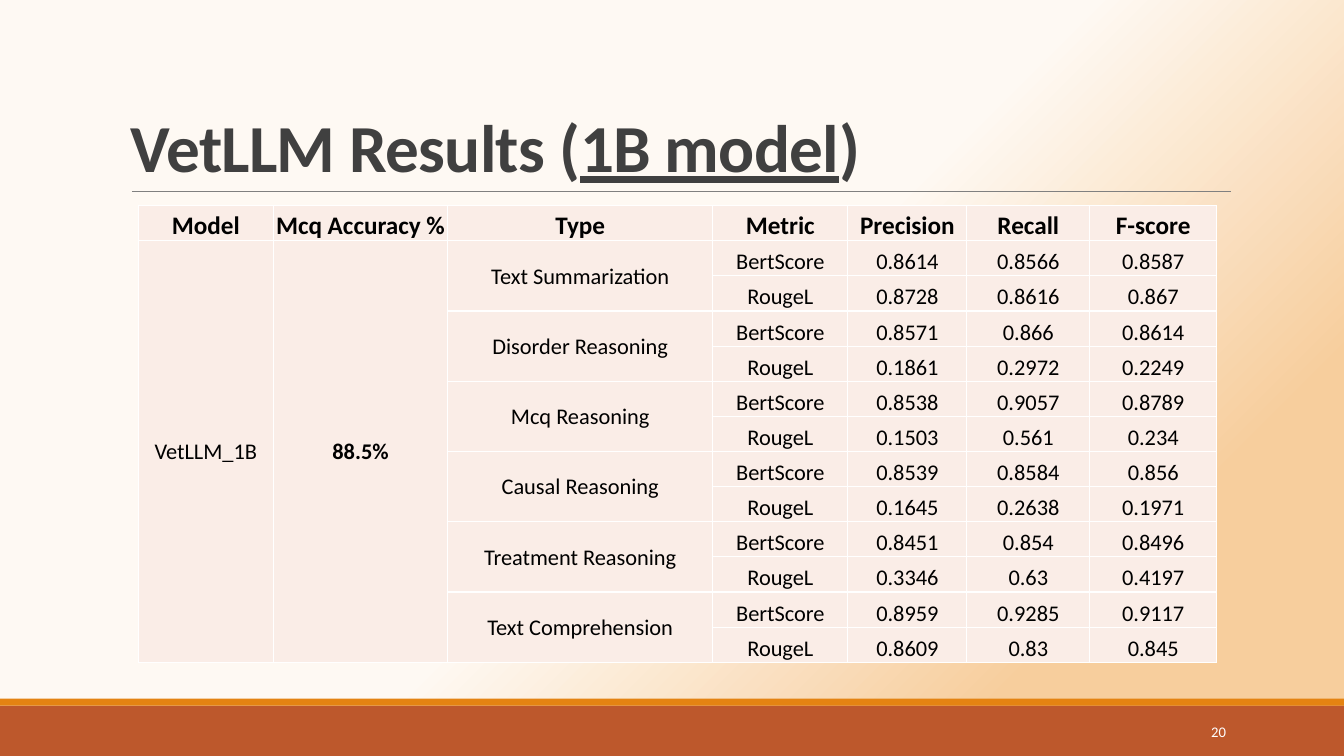
"""Build the VetLLM 1B results slide: a title over one merged score table."""
import pptx
import pptx.dml.color
import pptx.enum.shapes
import pptx.enum.text
import pptx.oxml
import pptx.oxml.ns
import pptx.util
from dataclasses import dataclass

Pt = pptx.util.Pt
RGB = pptx.dml.color.RGBColor.from_string
ANCHOR = pptx.enum.text.MSO_ANCHOR
ALIGN = pptx.enum.text.PP_ALIGN


@dataclass(frozen=True)
class Theme:
    font: str = "Calibri"
    light: str = "FEF9F3"
    peach: str = "F7CE9D"
    rust: str = "BD582C"
    orange: str = "E48312"
    rule: str = "808080"
    title: str = "404040"
    text: str = "000000"
    white: str = "FFFFFF"
    cell: str = "FAEDE7"
    title_size: float = 48
    head_size: float = 18
    body_size: float = 16
    number_size: float = 10.5


theme = Theme()


def add_run(p, text, size, color, **extra):
    r = p.add_run()
    r.text = text
    r.font.color.rgb = RGB(color)
    for name, value in {"name": theme.font, "size": Pt(size), **extra}.items():
        setattr(r.font, name, value)
    return r


def add_box(s, left, top, width, height, anchor):
    tf = s.shapes.add_textbox(Pt(left), Pt(top), Pt(width), Pt(height)).text_frame
    for name, value in {"word_wrap": True, "vertical_anchor": anchor}.items():
        setattr(tf, name, value)
    return tf.paragraphs[0]


prs = pptx.Presentation()
prs.slide_width, prs.slide_height = Pt(960), Pt(540)
s = prs.slides.add_slide(prs.slide_layouts[6])

fill = s.background.fill
fill.gradient()
fill.gradient_angle = 315
for stop, (position, color) in zip(fill.gradient_stops, [(0.52, theme.light), (0.81, theme.peach)]):
    stop.position = position
    stop.color.rgb = RGB(color)

for top, height, color in [(504, 36, theme.rust), (499, 5, theme.orange)]:
    sp = s.shapes.add_shape(pptx.enum.shapes.MSO_SHAPE.RECTANGLE, 0, Pt(top), prs.slide_width, Pt(height))
    sp.shadow.inherit = False
    sp.fill.solid()
    sp.fill.fore_color.rgb = RGB(color)
    sp.line.fill.background()

rule = s.shapes.add_connector(pptx.enum.shapes.MSO_CONNECTOR.STRAIGHT, Pt(94.3), Pt(136.8), Pt(879), Pt(136.8))
rule.line.color.rgb = RGB(theme.rule)
rule.line.width = Pt(0.5)
pptx.oxml.ns.qn("a:effectLst")
rule._element.spPr.append(pptx.oxml.parse_xml(f'<a:effectLst {pptx.oxml.ns.nsdecls("a")}/>'))

p = add_box(s, 86.4, 22.3, 792, 114.5, ANCHOR.BOTTOM)
p.line_spacing = 0.85
for text, underline in [("VetLLM Results (", False), ("1B model", True), (")", False)]:
    r = add_run(p, text, theme.title_size, theme.title, bold=True, underline=underline)
    r.font._element.set("spc", "-50")

p = add_box(s, 779.8, 508.3, 103, 28.8, ANCHOR.MIDDLE)
p.alignment = ALIGN.RIGHT
add_run(p, "20", theme.number_size, theme.white)

headers = ["Model", "Mcq Accuracy %", "Type", "Metric", "Precision", "Recall", "F-score"]
widths = [96.5, 124.5, 189.4, 96.5, 85, 87.8, 90.7]
metrics = ["BertScore", "RougeL"]
scores = {
    "Text Summarization": ["0.8614 0.8566 0.8587", "0.8728 0.8616 0.867"],
    "Disorder Reasoning": ["0.8571 0.866 0.8614", "0.1861 0.2972 0.2249"],
    "Mcq Reasoning": ["0.8538 0.9057 0.8789", "0.1503 0.561 0.234"],
    "Causal Reasoning": ["0.8539 0.8584 0.856", "0.1645 0.2638 0.1971"],
    "Treatment Reasoning": ["0.8451 0.854 0.8496", "0.3346 0.63 0.4197"],
    "Text Comprehension": ["0.8959 0.9285 0.9117", "0.8609 0.83 0.845"],
}
rows = [headers]
for task, results in scores.items():
    for metric, values in zip(metrics, results):
        rows.append(["", "", task if metric == metrics[0] else "", metric, *values.split()])
rows[1][:2] = ["VetLLM_1B", "88.5%"]

row_height = 25.1
table = s.shapes.add_table(len(rows), len(headers), Pt(98.8), Pt(146.9),
                           Pt(sum(widths)), Pt(row_height * len(rows))).table
table.first_row = table.horz_banding = False
for column, width in zip(table.columns, widths):
    column.width = Pt(width)
for row in table.rows:
    row.height = Pt(row_height)

cell_format = {"margin_left": Pt(0.72), "margin_right": Pt(0.72), "margin_top": Pt(0.72), "margin_bottom": 0}
for i, row in enumerate(rows):
    for j, text in enumerate(row):
        cell = table.cell(i, j)
        anchor = ANCHOR.MIDDLE if i and j < 3 else ANCHOR.BOTTOM
        for name, value in {**cell_format, "vertical_anchor": anchor}.items():
            setattr(cell, name, value)
        for side in "LRTB":
            cell._tc.get_or_add_tcPr().append(pptx.oxml.parse_xml(
                f'<a:ln{side} {pptx.oxml.ns.nsdecls("a")} w="12700"><a:solidFill>'
                f'<a:srgbClr val="{theme.white}"/></a:solidFill></a:ln{side}>'))
        cell.fill.solid()
        cell.fill.fore_color.rgb = RGB(theme.cell)
        if text:
            p = cell.text_frame.paragraphs[0]
            p.alignment = ALIGN.CENTER
            size = theme.body_size if i else theme.head_size
            add_run(p, text, size, theme.text, bold=i == 0 or j == 1)

last = len(rows) - 1
for j in range(2):
    table.cell(1, j).merge(table.cell(last, j))
for i in range(1, last, len(metrics)):
    table.cell(i, 2).merge(table.cell(i + 1, 2))

prs.save("out.pptx")
